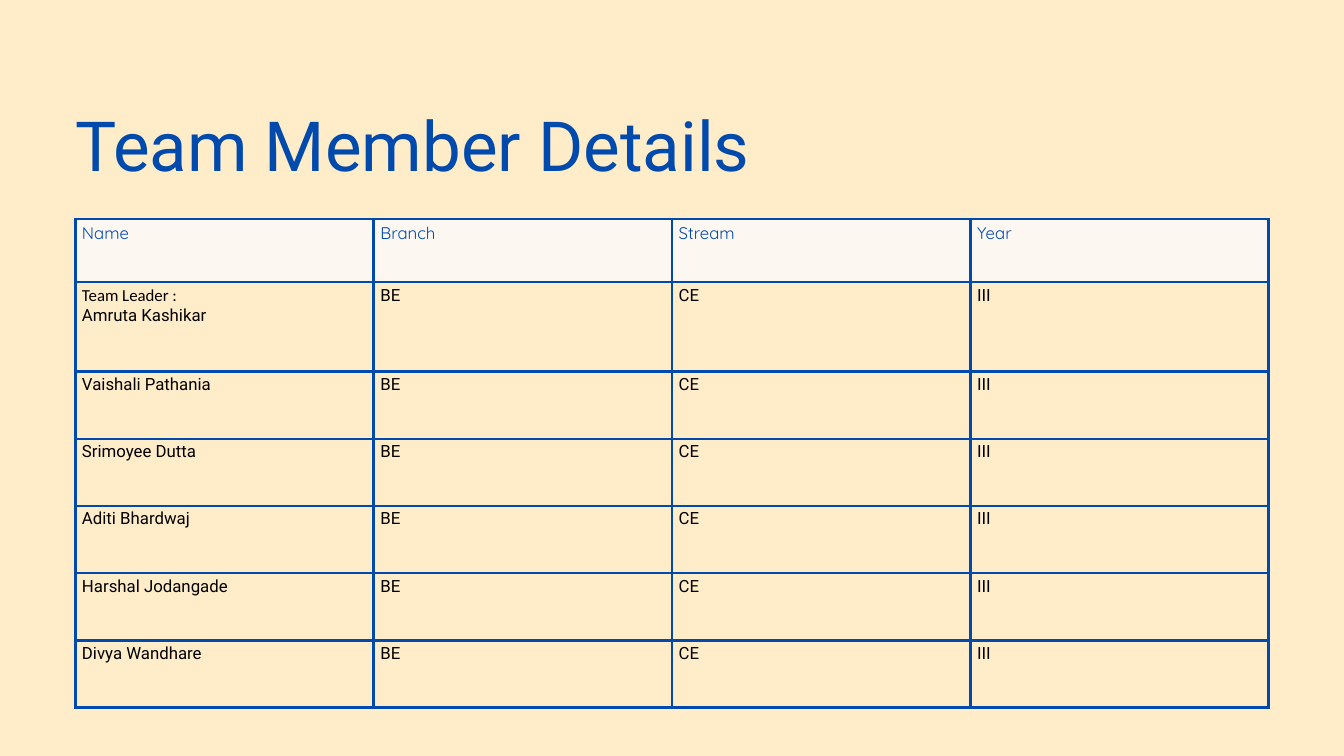
from dataclasses import dataclass

import pptx
import pptx.dml.color
import pptx.enum.text
import pptx.oxml
import pptx.oxml.ns
import pptx.util
from pptx.util import Inches


@dataclass(frozen=True)
class Theme:
    background: str = "FFECC9"
    header_fill: str = "FCF8F1"
    accent: str = "004AAD"
    ink: str = "000000"
    title_size: float = 74
    title_leading: float = 88.8
    table_size: float = 18
    border_width: float = 3
    title_font: str = "Roboto"
    header_font: str = "Quicksand"
    body_font: str = "Roboto"
    label_font: str = "Calibri"


THEME = Theme()

LEFT = 1.12
COLUMN_WIDTH = 4.44
HEADER_HEIGHT = 0.94
LEADER_HEIGHT = 1.33
MEMBER_HEIGHT = 1

HEADINGS = ["Name", "Branch", "Stream", "Year"]
LEADER_LABEL = "Team Leader :"
MEMBERS = [
    "Amruta Kashikar",
    "Vaishali Pathania",
    "Srimoyee Dutta",
    "Aditi Bhardwaj",
    "Harshal Jodangade",
    "Divya Wandhare",
]
STUDY_DETAILS = ["BE", "CE", "III"]


def rgb(value):
    return pptx.dml.color.RGBColor.from_string(value)


def add_span(para, text, size, font, color):
    span = para.add_run()
    span.text = text
    span.font.size = pptx.util.Pt(size)
    span.font.name = font
    span.font.color.rgb = rgb(color)


def add_title(page, text):
    box = page.shapes.add_textbox(Inches(LEFT), Inches(1.53), Inches(12.61), Inches(1.22))
    frame = box.text_frame
    frame.word_wrap = True
    frame.auto_size = pptx.enum.text.MSO_AUTO_SIZE.SHAPE_TO_FIT_TEXT
    frame.margin_left = frame.margin_right = frame.margin_top = frame.margin_bottom = 0
    para = frame.paragraphs[0]
    para.line_spacing = pptx.util.Pt(THEME.title_leading)
    add_span(para, text, THEME.title_size, THEME.title_font, THEME.accent)


def set_borders(cell):
    """Draw all four cell edges; they must come before the fill in the XML."""
    properties = cell._tc.get_or_add_tcPr()
    width = int(pptx.util.Pt(THEME.border_width))
    namespace = pptx.oxml.ns.nsdecls("a")
    for position, edge in enumerate(("lnL", "lnR", "lnT", "lnB")):
        line = pptx.oxml.parse_xml(
            f'<a:{edge} {namespace} w="{width}"><a:solidFill>'
            f'<a:srgbClr val="{THEME.accent}"/></a:solidFill></a:{edge}>'
        )
        properties.insert(position, line)


def fill_cell(cell, lines, color, fill=None):
    """Write (text, font) lines into a cell, one paragraph each."""
    if fill:
        cell.fill.solid()
        cell.fill.fore_color.rgb = rgb(fill)
    else:
        cell.fill.background()
    set_borders(cell)
    frame = cell.text_frame
    for index, (text, font) in enumerate(lines):
        para = frame.add_paragraph() if index else frame.paragraphs[0]
        add_span(para, text, THEME.table_size, font, color)


def add_member_table(page):
    heights = [HEADER_HEIGHT, LEADER_HEIGHT] + [MEMBER_HEIGHT] * (len(MEMBERS) - 1)
    frame = page.shapes.add_table(
        len(heights), len(HEADINGS), Inches(LEFT), Inches(3.26),
        Inches(COLUMN_WIDTH * len(HEADINGS)), Inches(sum(heights)),
    )
    table = frame.table
    table.first_row = table.horz_banding = False
    for column in table.columns:
        column.width = Inches(COLUMN_WIDTH)
    for row, height in zip(table.rows, heights):
        row.height = Inches(height)

    for column, heading in enumerate(HEADINGS):
        fill_cell(table.cell(0, column), [(heading, THEME.header_font)],
                  THEME.accent, THEME.header_fill)
    for row, member in enumerate(MEMBERS, start=1):
        for column, text in enumerate([member, *STUDY_DETAILS]):
            lines = [(text, THEME.body_font)]
            if (row, column) == (1, 0):
                lines.insert(0, (LEADER_LABEL, THEME.label_font))
            fill_cell(table.cell(row, column), lines, THEME.ink)


def main():
    deck = pptx.Presentation()
    deck.slide_width = Inches(20)
    deck.slide_height = Inches(11.25)
    page = deck.slides.add_slide(deck.slide_layouts[6])
    page.background.fill.solid()
    page.background.fill.fore_color.rgb = rgb(THEME.background)
    add_member_table(page)
    add_title(page, "Team Member Details")
    deck.save("out.pptx")


if __name__ == "__main__":
    main()
